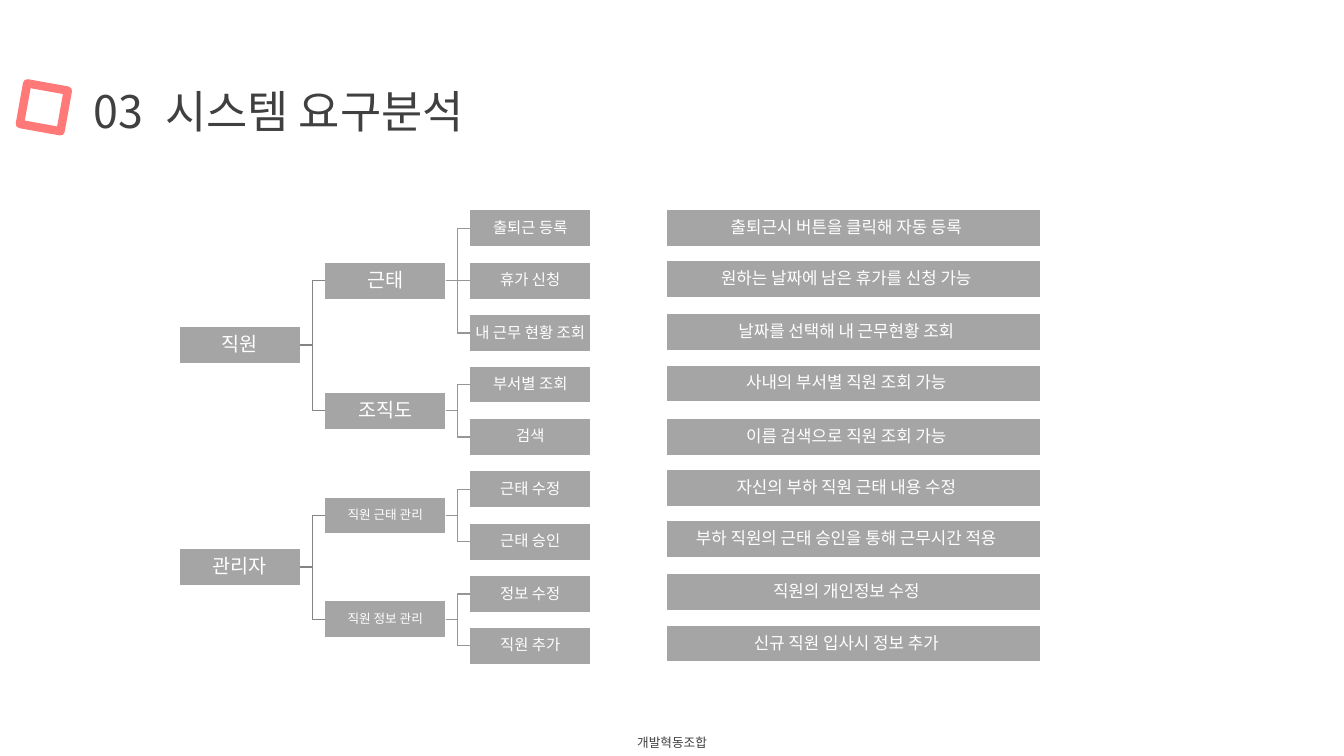
from dataclasses import dataclass

from lxml.etree import SubElement
from pptx import Presentation
from pptx.dml.color import RGBColor
from pptx.enum.shapes import MSO_CONNECTOR as Connector, MSO_SHAPE as Shape
from pptx.enum.text import MSO_ANCHOR as Anchor, PP_ALIGN as Align
from pptx.oxml.ns import qn
from pptx.util import Pt

EMU_PER_PX = 9144  # 100 px to the inch


@dataclass(frozen=True)
class Theme:
    font: str = "Noto Sans CJK KR"
    ink: str = "404040"
    accent: str = "FF7979"
    box: str = "A5A5A5"
    white: str = "FFFFFF"
    trunk_line: str = "848484"
    branch_line: str = "969696"
    title: int = 32
    large: int = 14
    description: int = 12
    leaf: int = 11
    small: int = 9


THEME = Theme()
BOX_WIDTH, BOX_HEIGHT = 120, 37
COLUMN_PITCH, ROW_PITCH = 144, 51.8

# Each branch: label, type size, leaves
TREE = [
    ("직원", [
        ("근태", THEME.large, ["출퇴근 등록", "휴가 신청", "내 근무 현황 조회"]),
        ("조직도", THEME.large, ["부서별 조회", "검색"]),
    ]),
    ("관리자", [
        ("직원 근태 관리", THEME.small, ["근태 수정", "근태 승인"]),
        ("직원 정보 관리", THEME.small, ["정보 수정", "직원 추가"]),
    ]),
]
# Each description: offset from the top of the region, text
DESCRIPTIONS = [
    (0, "출퇴근시 버튼을 클릭해 자동 등록"),
    (50, "원하는 날짜에 남은 휴가를 신청 가능"),
    (103, "날짜를 선택해 내 근무현황 조회"),
    (154, "사내의 부서별 직원 조회 가능"),
    (207, "이름 검색으로 직원 조회 가능"),
    (258, "자신의 부하 직원 근태 내용 수정"),
    (308, "부하 직원의 근태 승인을 통해 근무시간 적용"),
    (361, "직원의 개인정보 수정"),
    (412, "신규 직원 입사시 정보 추가"),
]


def px(value):
    return round(value) * EMU_PER_PX


def rgb(value):
    return RGBColor.from_string(value)


def write_text(shape, text, size, color, align):
    shape.text_frame.text = text
    paragraph = shape.text_frame.paragraphs[0]
    paragraph.alignment = align
    for run in paragraph.runs:
        run.font.size = Pt(size)
        run.font.name = THEME.font
        run.font.color.rgb = rgb(color)
        east_asian = SubElement(run.font._element, qn("a:ea"))
        east_asian.set("typeface", THEME.font)
    return paragraph


def add_label(slide, left, top, width, height, text, size, align=Align.LEFT):
    label = slide.shapes.add_textbox(px(left), px(top), px(width), px(height))
    label.text_frame.word_wrap = True
    write_text(label, text, size, THEME.ink, align)


def add_box(slide, left, top, width, text, size, right_inset=1):
    box = slide.shapes.add_shape(
        Shape.RECTANGLE, px(left), px(top), px(width), px(BOX_HEIGHT))
    box.shadow.inherit = False
    box.fill.solid()
    box.fill.fore_color.rgb = rgb(THEME.box)
    box.line.color.rgb = rgb(THEME.white)
    box.line.width = Pt(1)
    frame = box.text_frame
    frame.word_wrap = True
    frame.vertical_anchor = Anchor.MIDDLE
    frame.margin_left = frame.margin_top = frame.margin_bottom = px(1)
    frame.margin_right = px(right_inset)
    paragraph = write_text(box, text, size, THEME.white, Align.CENTER)
    paragraph.line_spacing = 0.9
    return box


def join(slide, parent, child, color):
    """Link the right side of parent to the left side of child."""
    level = abs(parent.top - child.top) <= EMU_PER_PX
    kind = Connector.STRAIGHT if level else Connector.ELBOW
    connector = slide.shapes.add_connector(kind, 0, 0, 0, 0)
    connector.begin_connect(parent, 3)
    connector.end_connect(child, 1)
    connector.line.color.rgb = rgb(color)
    connector.line.width = Pt(1)
    SubElement(connector._element.spPr, qn("a:effectLst"))


def add_parent(slide, left, children, text, size, color):
    """Place a box midway between its first and last child and join them."""
    top = (children[0].top + children[-1].top) / 2 / EMU_PER_PX
    parent = add_box(slide, left, top, BOX_WIDTH, text, size)
    for child in children:
        join(slide, parent, child, color)
    return parent


def add_header(slide, left, top):
    marker = slide.shapes.add_shape(
        Shape.RECTANGLE, px(left), px(top + 8), px(41), px(41))
    marker.rotation = 10.2
    marker.shadow.inherit = False
    marker.fill.background()
    marker.line.color.rgb = rgb(THEME.accent)
    marker.line.width = Pt(6)
    add_label(slide, left + 60, top, 82, 64, "03", THEME.title)
    add_label(slide, left + 131, top, 426, 64, "시스템 요구분석", THEME.title)


def add_tree(slide, left, top):
    row = 0
    for root_text, branches in TREE:
        branch_boxes = []
        for branch_text, size, leaves in branches:
            leaf_boxes = [
                add_box(slide, left + 2 * COLUMN_PITCH, top + (row + index) * ROW_PITCH,
                        BOX_WIDTH, leaf, THEME.leaf)
                for index, leaf in enumerate(leaves)
            ]
            row += len(leaves)
            branch_boxes.append(add_parent(
                slide, left + COLUMN_PITCH, leaf_boxes, branch_text, size,
                THEME.branch_line))
        add_parent(slide, left, branch_boxes, root_text, THEME.large, THEME.trunk_line)


def add_descriptions(slide, left, top, width):
    for offset, text in DESCRIPTIONS:
        add_box(slide, left, top + offset, width, text, THEME.description,
                right_inset=15)


def main():
    presentation = Presentation()
    presentation.slide_width = px(1333)
    presentation.slide_height = px(750)
    slide = presentation.slides.add_slide(presentation.slide_layouts[6])
    add_label(slide, 416, 724, 501, 25, "개발혁동조합", THEME.small, Align.CENTER)
    add_header(slide, 23, 78)
    add_tree(slide, 178, 208)
    add_descriptions(slide, 661, 208, 371)
    presentation.save("out.pptx")


if __name__ == "__main__":
    main()
